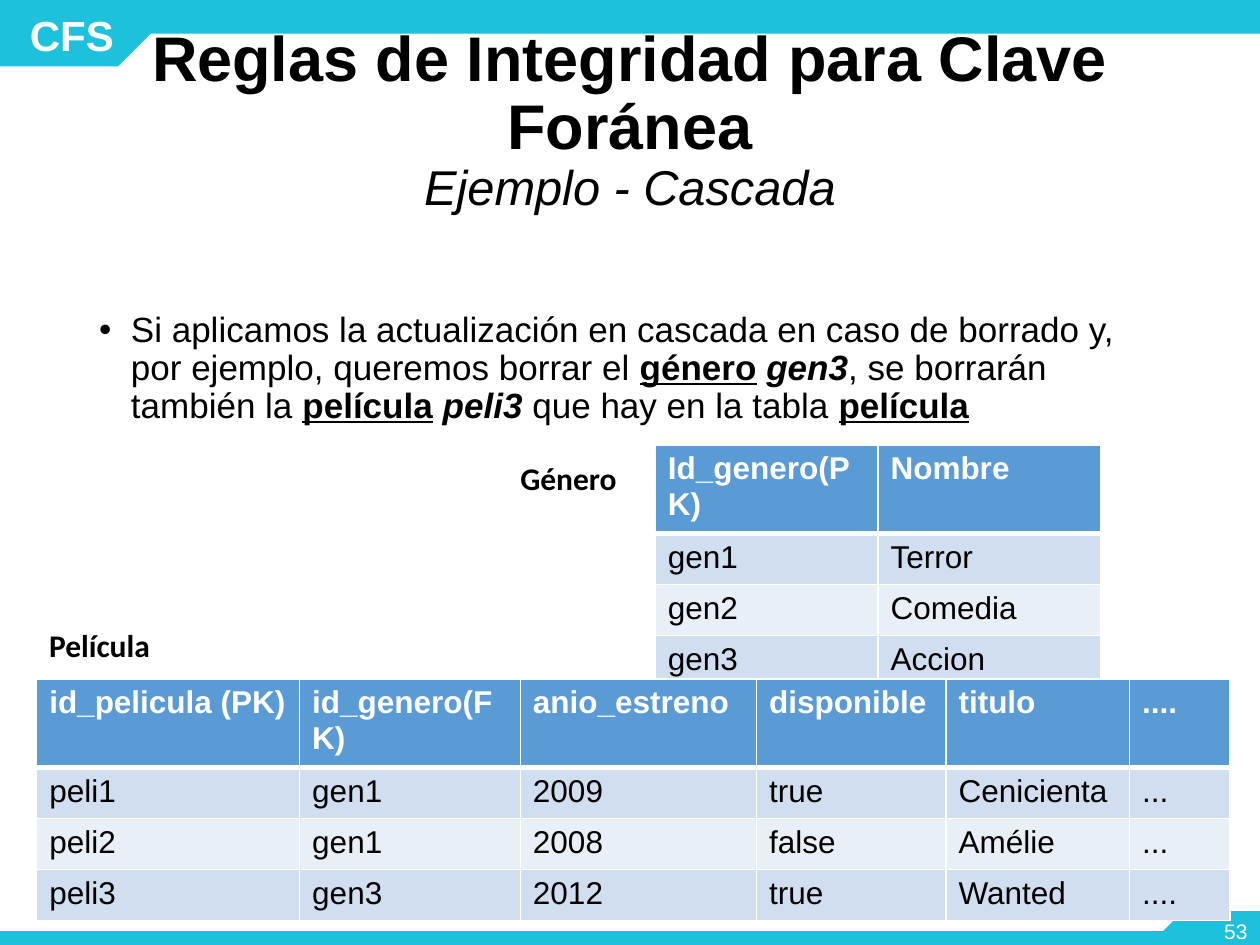
from dataclasses import dataclass

from lxml.etree import SubElement
from pptx import Presentation
from pptx.dml.color import RGBColor
from pptx.enum.shapes import MSO_SHAPE
from pptx.enum.text import MSO_ANCHOR, PP_ALIGN
from pptx.oxml.ns import qn
from pptx.util import Cm, Pt


@dataclass(frozen=True)
class Theme:
    accent: str = "1DC1DC"
    header: str = "5B9BD5"
    bands: tuple = ("D0DEEF", "E9EFF7")
    ink: str = "000000"
    light: str = "FFFFFF"
    font: str = "Arial"
    label_font: str = "Calibri"
    title: float = 36
    subtitle: float = 27.9
    badge: float = 24
    body: float = 20
    table: float = 18
    number: float = 12


THEME = Theme()


def style(span, size, color=THEME.ink, bold=False, italic=False,
          underline=False, name=THEME.font):
    font = span.font
    font.name, font.size = name, Pt(size)
    font.bold, font.italic, font.underline = bold, italic, underline
    font.color.rgb = RGBColor.from_string(color)


def add_block(page, left, top, width, height, kind=MSO_SHAPE.RECTANGLE):
    block = page.shapes.add_shape(kind, Cm(left), Cm(top), Cm(width), Cm(height))
    block.shadow.inherit = False
    block.fill.solid()
    block.fill.fore_color.rgb = RGBColor.from_string(THEME.accent)
    block.line.fill.background()
    return block


def add_tab(page, left, top, width, height, rotation=0):
    tab = add_block(page, left, top, width, height, MSO_SHAPE.SNIP_1_RECTANGLE)
    tab.adjustments[0] = 0.5
    tab.rotation = rotation
    tab.element.spPr.get_or_add_xfrm().set("flipH", "1")


def add_text(page, left, top, width, height, text="", align=PP_ALIGN.LEFT,
             anchor=MSO_ANCHOR.TOP, **look):
    box = page.shapes.add_textbox(Cm(left), Cm(top), Cm(width), Cm(height))
    frame = box.text_frame
    frame.word_wrap = True
    frame.vertical_anchor = anchor
    frame.text = text
    para = frame.paragraphs[0]
    para.alignment = align
    for span in para.runs:
        style(span, **look)
    return para


def add_header(page, left, top, width):
    add_block(page, left + 2.84, top, width - 2.84, 0.68)
    add_tab(page, left, top, 3.05, 1.34, rotation=180)
    add_text(page, left + 0.18, top + 0.1, 2.54, 1.19, "CFS", PP_ALIGN.CENTER,
             MSO_ANCHOR.MIDDLE, size=THEME.badge, color=THEME.light, bold=True)


def add_footer(page, left, top, width, number):
    add_block(page, left, top + 0.4, width, 0.4)
    add_tab(page, left + width - 1.95, top, 1.95, 0.8)
    add_text(page, left + width - 1.55, top - 0.1, 1.55, 1.02, number,
             PP_ALIGN.RIGHT, MSO_ANCHOR.MIDDLE,
             size=THEME.number, color=THEME.light)


def add_title(page, left, top, width, height, title, subtitle):
    para = add_text(page, left, top, width, height, f"{title}\v{subtitle}",
                    PP_ALIGN.CENTER, MSO_ANCHOR.MIDDLE,
                    size=THEME.title, bold=True)
    para.line_spacing = 0.9
    style(para.runs[-1], THEME.subtitle, italic=True)


def add_bullet(page, left, top, width, height, pieces):
    para = add_text(page, left, top, width, height)
    properties = para._p.get_or_add_pPr()
    indent = Cm(0.64)
    properties.set("marL", str(indent))
    properties.set("indent", str(-indent))
    SubElement(properties, qn("a:buFont"), typeface=THEME.font)
    SubElement(properties, qn("a:buChar"), char="•")
    para.line_spacing = 0.9
    for text, look in pieces:
        span = para.add_run()
        span.text = text
        style(span, THEME.body, **look)


def add_borders(cell, top, bottom):
    properties = cell._tc.get_or_add_tcPr()
    for side, points in (("L", 1), ("R", 1), ("T", top), ("B", bottom)):
        line = SubElement(properties, qn(f"a:ln{side}"), w=str(Pt(points)))
        fill = SubElement(line, qn("a:solidFill"))
        SubElement(fill, qn("a:srgbClr"), val=THEME.light)


def add_data_table(page, left, top, widths, rows):
    row_height = 1.03
    frame = page.shapes.add_table(len(rows), len(widths), Cm(left), Cm(top),
                                  Cm(sum(widths)), Cm(row_height * len(rows)))
    table = frame.table
    for column, width in zip(table.columns, widths):
        column.width = Cm(width)
    for index, values in enumerate(rows):
        table.rows[index].height = Cm(row_height)
        heading = index == 0
        fill = THEME.header if heading else THEME.bands[(index - 1) % 2]
        for position, value in enumerate(values):
            cell = table.cell(index, position)
            add_borders(cell, top=3 if index == 1 else 1, bottom=3 if heading else 1)
            cell.fill.solid()
            cell.fill.fore_color.rgb = RGBColor.from_string(fill)
            cell.text_frame.text = value
            style(cell.text_frame.paragraphs[0].runs[0], THEME.table,
                  THEME.light if heading else THEME.ink, bold=heading)


def add_label(page, left, top, width, text):
    add_text(page, left, top, width, 1.02, text, size=THEME.table, bold=True,
             name=THEME.label_font)


def main():
    deck = Presentation()
    deck.slide_width, deck.slide_height = Cm(25.4), Cm(19.05)
    page = deck.slides.add_slide(deck.slide_layouts[6])

    add_footer(page, 0, 18.37, 25.4, "53")
    add_header(page, 0, 0, 25.4)
    add_title(page, 1.75, 0.76, 21.9, 3.38,
              "Reglas de Integridad para Clave Foránea", "Ejemplo - Cascada")

    plain = {}
    table_name = {"bold": True, "underline": True}
    key_value = {"bold": True, "italic": True}
    add_bullet(page, 1.75, 6.17, 21.9, 2.57, [
        ("Si aplicamos la actualización en cascada en caso de borrado y, "
         "por ejemplo, queremos borrar el ", plain),
        ("género", table_name), (" ", plain), ("gen3", key_value),
        (", se borrarán también la ", plain),
        ("película", table_name), (" ", plain), ("peli3", key_value),
        (" que hay en la tabla ", plain), ("película", table_name),
    ])

    add_data_table(page, 13.21, 8.97, [4.49, 4.49], [
        ("Id_genero(PK)", "Nombre"),
        ("gen1", "Terror"),
        ("gen2", "Comedia"),
        ("gen3", "Accion"),
    ])
    add_data_table(page, 0.74, 13.69, [5.3, 4.45, 4.76, 3.82, 3.7, 2.03], [
        ("id_pelicula (PK)", "id_genero(FK)", "anio_estreno", "disponible",
         "titulo", "...."),
        ("peli1", "gen1", "2009", "true", "Cenicienta", "..."),
        ("peli2", "gen1", "2008", "false", "Amélie", "..."),
        ("peli3", "gen3", "2012", "true", "Wanted", "...."),
    ])
    add_label(page, 10.24, 9.12, 2.46, "Género")
    add_label(page, 0.74, 12.5, 2.57, "Película")

    deck.save("out.pptx")


if __name__ == "__main__":
    main()
